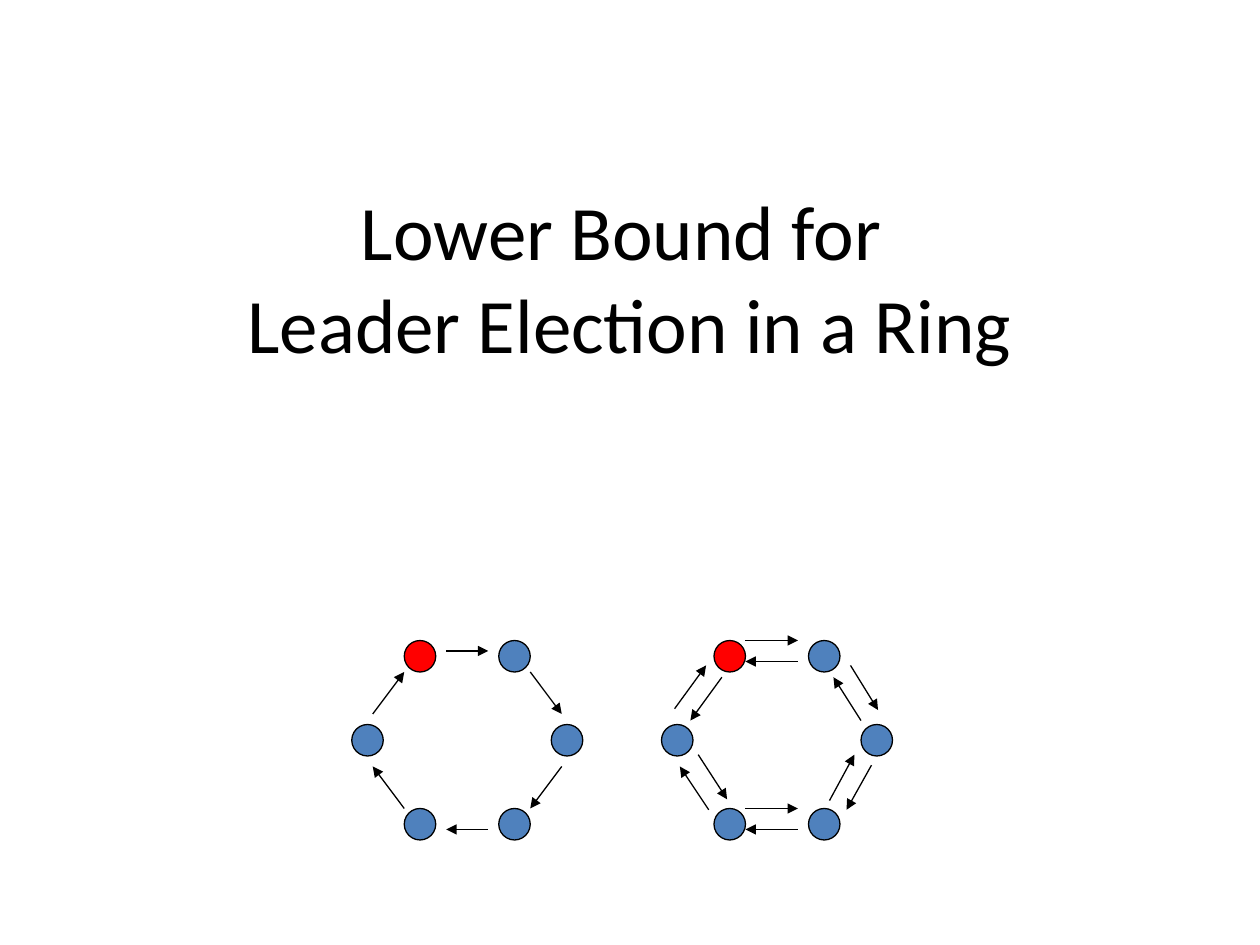
from dataclasses import dataclass

from lxml import etree
from pptx import Presentation
from pptx import util as u
from pptx.dml.color import RGBColor
from pptx.enum import shapes, text
from pptx.oxml.ns import qn

SCALE = 9525  # EMU in one px, 96 px to the inch


@dataclass(frozen=True)
class Theme:
    font: str = "Calibri"
    size: int = 44
    ink: str = "000000"
    node: str = "4F81BD"
    leader: str = "FF0000"
    line: float = 0.75


THEME = Theme()
TOP = 488
DOT = 24

# Positions inside a ring, clockwise; the leader comes first.
NODES = [(40, 0), (112, 0), (152, 64), (112, 128), (40, 128), (0, 64)]

# Arrows as x1, y1, x2, y2 inside a ring, clockwise from the top edge.
ONE_WAY = [
    (72, 8, 104, 8), (136, 24, 160, 56), (160, 96, 136, 128),
    (104, 144, 72, 144), (40, 128, 16, 96), (16, 56, 40, 24),
]
OUTER = [
    (64, 0, 104, 0), (144, 19, 165, 53), (160, 95, 141, 129),
    (104, 144, 64, 144), (36, 129, 14, 96), (10, 52, 34, 19),
]
INNER = [
    (104, 16, 64, 16), (152, 61, 131, 28), (128, 122, 147, 87),
    (64, 128, 104, 128), (28, 87, 50, 121), (46, 28, 22, 61),
]


def px(*values):
    return [u.Emu(v * SCALE) for v in values]


def rgb(code):
    return RGBColor.from_string(code)


def stroke(shape):
    shape.line.color.rgb = rgb(THEME.ink)
    shape.line.width = u.Pt(THEME.line)


def write(frame, words, size, color, align, anchor):
    frame.word_wrap = True
    frame.auto_size = text.MSO_AUTO_SIZE.NONE
    frame.vertical_anchor = anchor
    para = frame.paragraphs[0]
    para.text = words
    para.alignment = align
    for run in para.runs:
        run.font.name = THEME.font
        run.font.size = u.Pt(size)
        run.font.color.rgb = rgb(color)


def add_title(slide, words):
    title = slide.shapes.title
    title.left, title.top, title.width, title.height = px(48, 29, 864, 363)
    write(title.text_frame, words, size=THEME.size, color=THEME.ink,
          align=text.PP_ALIGN.CENTER, anchor=text.MSO_ANCHOR.MIDDLE)


def add_node(group, x, y, color):
    node = group.shapes.add_shape(shapes.MSO_SHAPE.OVAL, *px(x, y, DOT, DOT))
    node.shadow.inherit = False
    node.fill.solid()
    node.fill.fore_color.rgb = rgb(color)
    stroke(node)


def add_arrow(group, x1, y1, x2, y2):
    arrow = group.shapes.add_connector(
        shapes.MSO_CONNECTOR.STRAIGHT, *px(x1, y1, x2, y2))
    stroke(arrow)
    etree.SubElement(arrow.line._get_or_add_ln(), qn("a:tailEnd"),
                     type="triangle")
    etree.SubElement(arrow._element.spPr, qn("a:effectLst"))


def add_ring(slide, left, arrows):
    group = slide.shapes.add_group_shape()
    for x1, y1, x2, y2 in arrows:
        add_arrow(group, left + x1, TOP + y1, left + x2, TOP + y2)
    for i, (x, y) in enumerate(NODES):
        add_node(group, left + x, TOP + y, THEME.node if i else THEME.leader)


def main():
    deck = Presentation()
    deck.slide_width, deck.slide_height = px(960, 720)
    slide = deck.slides.add_slide(deck.slide_layouts[5])
    add_title(slide, "Lower Bound for \vLeader Election in a Ring")
    add_ring(slide, 268, ONE_WAY)
    add_ring(slide, 504, OUTER + INNER)
    deck.save("out.pptx")


if __name__ == "__main__":
    main()
